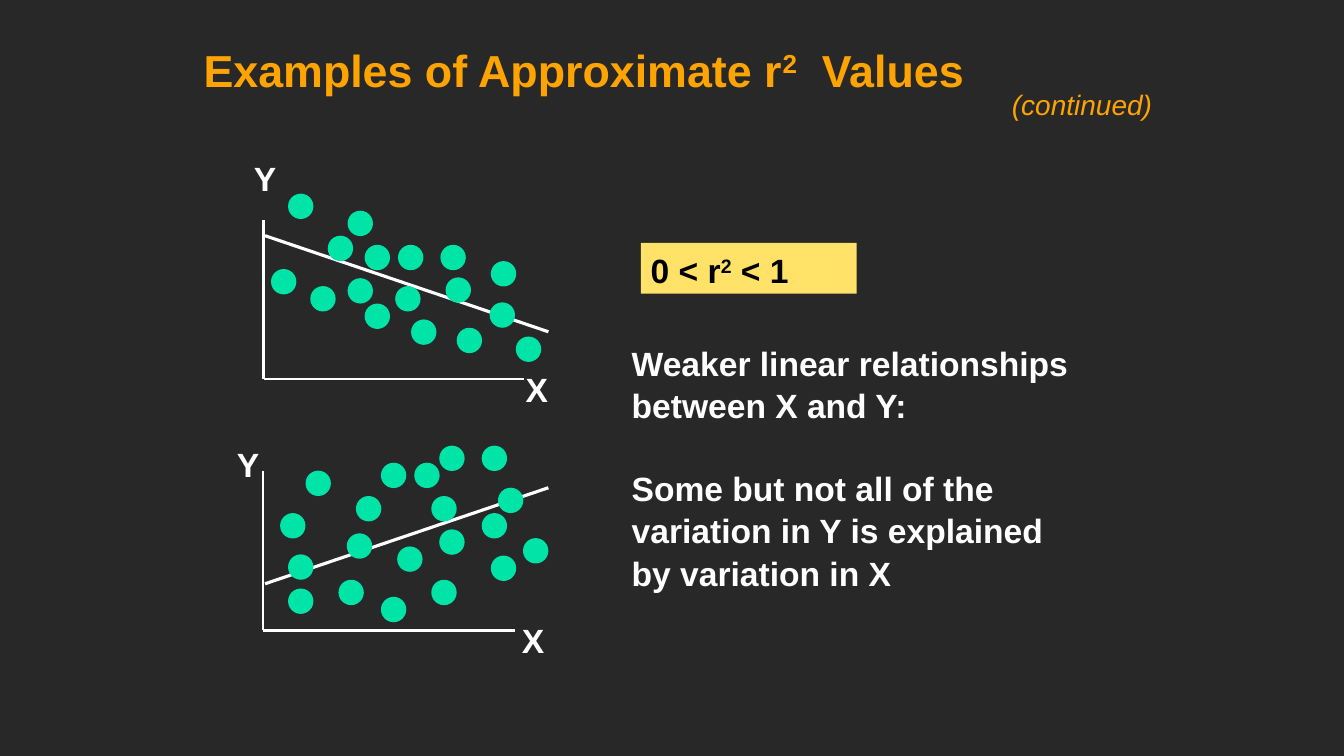
"""Build a slide with two scatter plots that show approximate r² values."""
from lxml import etree
from pptx import Presentation
from pptx.dml.color import RGBColor
from pptx.enum.shapes import MSO_CONNECTOR, MSO_SHAPE
from pptx.enum.text import MSO_ANCHOR, PP_ALIGN
from pptx.oxml.ns import qn
from pptx.util import Cm, Pt

STRAIGHT = MSO_CONNECTOR.STRAIGHT
OVAL, RECTANGLE = MSO_SHAPE.OVAL, MSO_SHAPE.RECTANGLE
TOP, BOTTOM, LEFT = MSO_ANCHOR.TOP, MSO_ANCHOR.BOTTOM, PP_ALIGN.LEFT

DARK, ORANGE, YELLOW = "282828", "FEA402", "FFE267"
GREEN, WHITE, BLACK = "00E4A8", "FFFFFF", "000000"
DOT = 0.64
LABEL_SIZE = (1.07, 1.27)
SUPERSCRIPTS = {"2"}

TITLE = [["Examples of Approximate r", "2", "  Values"]]
CONTINUED = [["(continued)"]]
RANGE = [["0 < r", "2", " < 1"]]
EXPLANATION = [
    ["Weaker linear relationships between X and Y:"],
    ["Some but not all of the variation in Y is explained by variation in X"],
]

PLOTS = [
    {
        "corner": (6.65, 9.55), "axis_top": 5.54, "axis_right": 13.21,
        "trend": ((6.68, 5.94), (13.82, 8.36)),
        "labels": {"Y": (6.15, 3.81), "X": (13, 9.12)},
        "dots": [
            (13, 8.48), (12.34, 7.62), (7.26, 4.88), (8.26, 5.94),
            (11.51, 8.26), (6.83, 6.78), (10.36, 8.05), (8.76, 5.31),
            (11.1, 6.17), (12.37, 6.58), (7.82, 7.21), (10.03, 6.17),
            (8.76, 7.01), (9.96, 7.21), (11.23, 6.99), (9.19, 6.17),
            (9.19, 7.65),
        ],
    },
    {
        "corner": (6.63, 15.88), "axis_top": 11.86, "axis_right": 12.98,
        "trend": ((6.68, 14.71), (13.82, 12.29)),
        "labels": {"Y": (5.72, 11), "X": (12.9, 15.44)},
        "dots": [
            (7.26, 14.83), (7.26, 13.97), (12.14, 11.23), (12.55, 12.29),
            (8.53, 14.61), (12.14, 12.93), (10.87, 14.61), (11.07, 11.23),
            (9.6, 11.66), (7.06, 12.93), (7.7, 11.86), (8.74, 13.44),
            (11.07, 13.34), (10.01, 13.77), (9.6, 15.04), (13.18, 13.56),
            (10.87, 12.5), (10.44, 11.66), (8.97, 12.5), (12.37, 14),
        ],
    },
]


def paint(color_format, color):
    color_format.rgb = RGBColor.from_string(color)


def write(box, paragraphs, color=WHITE, size=24, bold=True, italic=False,
          anchor=TOP, spacing=1.05, wrap=True):
    frame = box.text_frame
    frame.word_wrap = wrap
    frame.vertical_anchor = anchor
    for index, spans in enumerate(paragraphs):
        para = frame.add_paragraph() if index else frame.paragraphs[0]
        para.alignment = LEFT
        para.line_spacing = spacing
        if index:
            para.space_before = Pt(29)
        for words in spans:
            span = para.add_run()
            span.text = words
            span.font.name = "Arial"
            span.font.size = Pt(size)
            span.font.bold = bold
            span.font.italic = italic
            paint(span.font.color, color)
            if words in SUPERSCRIPTS:
                span.font._element.set("baseline", "30000")


def add_text(page, place, paragraphs, **style):
    box = page.shapes.add_textbox(*map(Cm, place))
    write(box, paragraphs, **style)


def add_filled(page, kind, place, color):
    shape = page.shapes.add_shape(kind, *map(Cm, place))
    shape.shadow.inherit = False
    shape.fill.solid()
    paint(shape.fill.fore_color, color)
    shape.line.fill.background()
    return shape


def add_line(page, start, end, width):
    line = page.shapes.add_connector(STRAIGHT, *map(Cm, start + end))
    paint(line.line.color, WHITE)
    line.line.width = Pt(width)
    etree.SubElement(line._element.spPr, qn("a:effectLst"))


def add_plot(page, plot):
    left, bottom = plot["corner"]
    add_line(page, (left, plot["axis_top"]), plot["corner"], 2)
    add_line(page, plot["corner"], (plot["axis_right"], bottom), 2)
    add_line(page, *plot["trend"], 2.25)
    for dot in plot["dots"]:
        add_filled(page, OVAL, dot + (DOT, DOT), GREEN)
    for name, corner in plot["labels"].items():
        add_text(page, corner + LABEL_SIZE, [[name]], wrap=False)


def main():
    deck = Presentation()
    deck.slide_width, deck.slide_height = Cm(33.87), Cm(19.05)
    page = deck.slides.add_slide(deck.slide_layouts[6])
    page.background.fill.solid()
    paint(page.background.fill.fore_color, DARK)

    add_text(page, (4.88, 0.66, 20.75, 1.88), TITLE, color=ORANGE, size=32,
             anchor=BOTTOM, spacing=0.8)
    add_text(page, (25.25, 2.03, 4.09, 1.09), CONTINUED, color=ORANGE,
             size=20, bold=False, italic=True)
    banner = add_filled(page, RECTANGLE, (16.15, 6.12, 5.44, 1.28), YELLOW)
    write(banner, RANGE, color=BLACK)
    add_text(page, (15.67, 8.46, 11.63, 6.4), EXPLANATION)
    for plot in PLOTS:
        add_plot(page, plot)
    deck.save("out.pptx")


if __name__ == "__main__":
    main()
